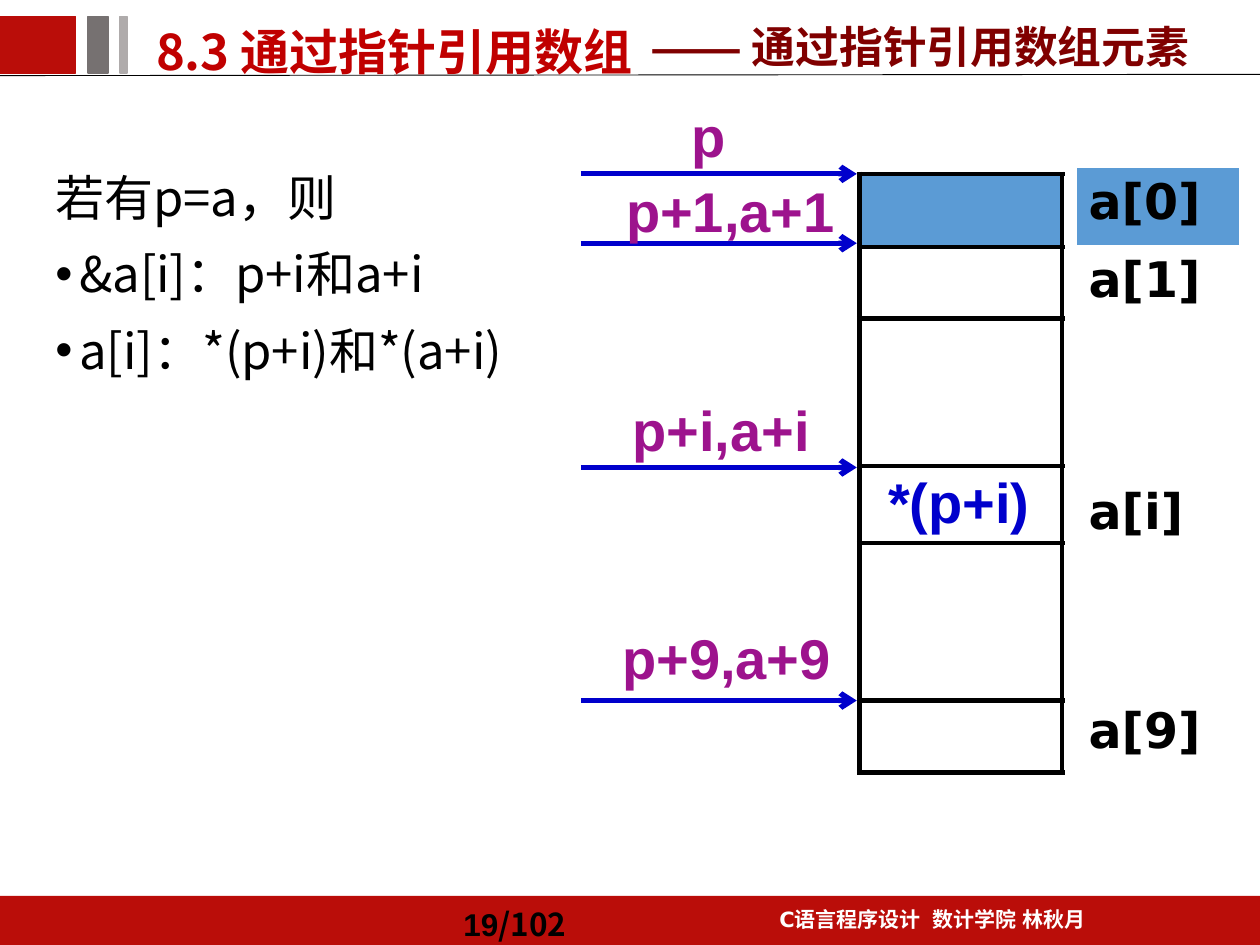
from lxml.etree import SubElement
from pptx import Presentation
from pptx.dml.color import RGBColor
from pptx.enum.shapes import MSO_CONNECTOR, MSO_SHAPE
from pptx.enum.text import MSO_ANCHOR, PP_ALIGN
from pptx.oxml.ns import qn
from pptx.util import Pt

PX = 9144
COLORS = {
    "red": "BA0D09", "title": "C00000", "subtitle": "800000", "gray": "767171",
    "silver": "AFABAB", "black": "000000", "white": "FFFFFF", "cell": "5B9BD5",
    "pointer": "9D138D", "blue": "0000CC",
}
CJK = "Noto Sans CJK SC"


def rgb(name):
    return RGBColor.from_string(COLORS[name])


def add_run(p, text, size, face, color, bold=True):
    r = p.add_run()
    r.text = text
    for key, value in {"size": Pt(size), "name": face, "bold": bold}.items():
        setattr(r.font, key, value)
    r.font.color.rgb = rgb(color)
    SubElement(r.font._element, qn("a:ea"), typeface=face)


def add_text(s, box, runs, anchor=MSO_ANCHOR.TOP, **fmt):
    tf = s.shapes.add_textbox(*(v * PX for v in box)).text_frame
    tf.word_wrap = True
    tf.vertical_anchor = anchor
    p = tf.paragraphs[0]
    for key, value in fmt.items():
        setattr(p, key, value)
    for run in runs:
        add_run(p, *run)
    return tf


def add_block(s, box, color, outline=True):
    sp = s.shapes.add_shape(MSO_SHAPE.RECTANGLE, *(v * PX for v in box))
    sp.shadow.inherit = False
    sp.fill.solid()
    sp.fill.fore_color.rgb = rgb(color)
    if outline:
        sp.line.color.rgb = rgb(color)
        sp.line.width = Pt(1)
    else:
        sp.line.fill.background()


def add_line(s, x1, y1, x2, y2, color, width, arrow=False):
    ln = s.shapes.add_connector(MSO_CONNECTOR.STRAIGHT, x1 * PX, y1 * PX, x2 * PX, y2 * PX)
    ln.line.color.rgb = rgb(color)
    ln.line.width = Pt(width)
    if arrow:
        SubElement(ln.line._get_or_add_ln(), qn("a:tailEnd"), type="arrow")
    SubElement(ln._element.spPr, qn("a:effectLst"))


def add_borders(cell, color, width):
    tc_pr = cell._tc.get_or_add_tcPr()
    for i, side in enumerate(("lnL", "lnR", "lnT", "lnB")):
        ln = tc_pr.makeelement(qn("a:" + side), {"w": str(Pt(width))})
        fill = SubElement(ln, qn("a:solidFill"))
        SubElement(fill, qn("a:srgbClr"), val=COLORS[color])
        tc_pr.insert(i, ln)


def add_column(s, x, y, w, heights, labels=(), border=None):
    frame = s.shapes.add_table(len(heights), 1, x * PX, y * PX, w * PX, sum(heights) * PX)
    table = frame.table
    table.first_row = table.horz_banding = False
    for i, height in enumerate(heights):
        table.rows[i].height = height * PX
        cell = table.cell(i, 0)
        cell.fill.solid()
        cell.fill.fore_color.rgb = rgb("white" if i else "cell")
        if labels and labels[i]:
            add_run(cell.text_frame.paragraphs[0], labels[i], 28, "DejaVu Sans", "black")
        if border:
            add_borders(cell, border, 3)


def add_header(s, x, y, w):
    add_line(s, x, y + 60, x + w, y + 59, "black", 0.5)
    for dx, width, color in ((0, 60, "red"), (70, 16, "gray"), (95, 6, "silver")):
        add_block(s, (x + dx, y + 13, width, 45), color)
    add_text(s, (x + 114, y + 3, 555, 67), [("8.3 通过指针引用数组", 28, CJK, "title")],
             line_spacing=1.2, space_before=Pt(5.6))
    add_text(s, (x + 508, y + 10, 492, 52),
             [("—— 通过指针引用数组元素", 25, "Arial", "subtitle")], MSO_ANCHOR.BOTTOM)


def add_footer(s, x, y, w, h):
    add_block(s, (x, y, w, h), "red", outline=False)
    add_text(s, (x + 563, y, 354, 34),
             [("C", 12, "DejaVu Sans", "white"),
              ("语言程序设计  数计学院 林秋月", 12, "Arial", "white")],
             alignment=PP_ALIGN.CENTER, line_spacing=1.2, space_before=Pt(2.4))
    add_text(s, (x + 358, y, 142, h),
             [("19", 18, "Arial", "black"), ("/102", 18, CJK, "black")],
             MSO_ANCHOR.MIDDLE, line_spacing=1.2, space_before=Pt(3.6))


def add_rules(s, x, y, w, h):
    lines = ("若有p=a，则", "&a[i]：p+i和a+i", "a[i]：*(p+i)和*(a+i)")
    tf = add_text(s, (x, y, w, h), [])
    for i, line in enumerate(lines):
        p = tf.add_paragraph() if i else tf.paragraphs[0]
        p.line_spacing = 1.3
        add_run(p, line, 28, CJK, "black", False)
        p_pr = p._p.get_or_add_pPr()
        p_pr.set("marL", str(19 * PX))
        p_pr.set("indent", str(-19 * PX))
        if i:
            SubElement(p_pr, qn("a:buFont"), typeface="Arial")
            SubElement(p_pr, qn("a:buChar"), char="•")
        else:
            SubElement(p_pr, qn("a:buNone"))


def add_memory(s, x, y):
    add_column(s, x + 393, y + 57, 130, (62, 60, 64, 60, 64, 110, 60),
               ("a[0]", "a[1]", "", "", "a[i]", "", "a[9]"))
    add_column(s, x + 221, y + 62, 161, (58, 57, 117, 61, 125, 57), border="black")
    pointers = (
        ("p", 78, 0, 55, 62),
        ("p+1,a+1", 26, 59, 188, 117),
        ("p+i,a+i", 31, 233, 188, 295),
        ("p+9,a+9", 23, 414, 188, 480),
    )
    for text, dx, dy, width, arrow_y in pointers:
        add_line(s, x, y + arrow_y, x + 219, y + arrow_y, "blue", 3, arrow=True)
        add_text(s, (x + dx, y + dy, width, 64), [(text, 32, "Arial", "pointer")])
    add_text(s, (x + 234, y + 290, 133, 64), [("*(p+i)", 32, "Arial", "blue")])


def main():
    prs = Presentation()
    prs.slide_width, prs.slide_height = 1000 * PX, 750 * PX
    s = prs.slides.add_slide(prs.slide_layouts[6])
    add_footer(s, 0, 711, 1000, 39)
    add_header(s, 0, 0, 1000)
    add_rules(s, 34, 114, 441, 356)
    add_memory(s, 461, 76)
    prs.save("out.pptx")


if __name__ == "__main__":
    main()
